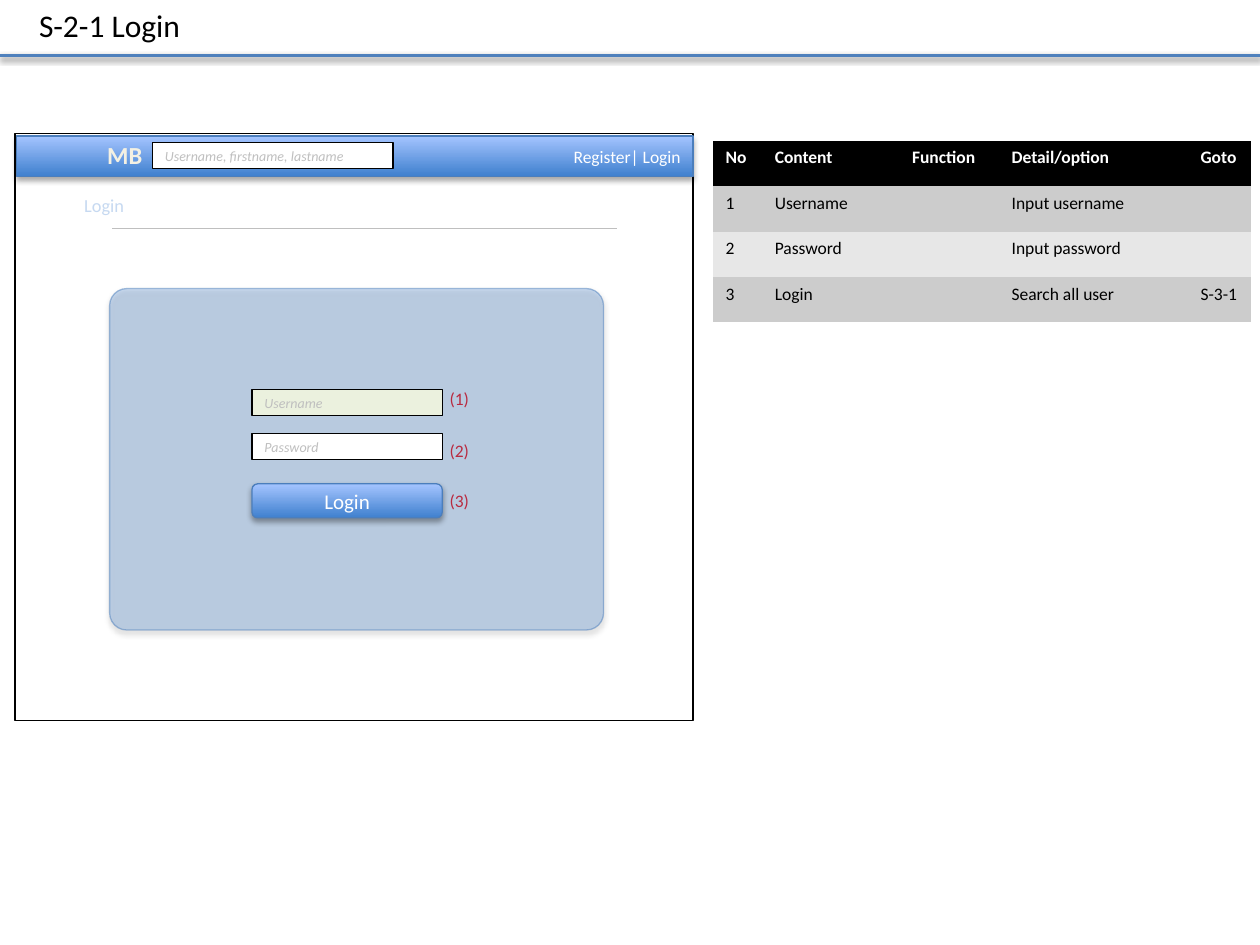
import pptx
import pptx.dml.color
import pptx.enum.shapes
import pptx.enum.text
import pptx.oxml
import pptx.oxml.ns
import pptx.util
import lxml.etree

Inches = pptx.util.Inches
Pt = pptx.util.Pt
SHAPES = pptx.enum.shapes.MSO_SHAPE
ANCHOR = pptx.enum.text.MSO_ANCHOR
ALIGN = pptx.enum.text.PP_ALIGN
qn = pptx.oxml.ns.qn
NAMESPACE = pptx.oxml.ns.nsdecls("a")
GLOSSY = ("3F80CE", "A4C4FF")


def color(value):
    return pptx.dml.color.RGBColor.from_string(value)


def place(left, top, width, height):
    return [Inches(value) for value in (left, top, width, height)]


def write(frame, text, size=10, ink="000000", bold=False, italic=False,
          align=ALIGN.LEFT, anchor=ANCHOR.TOP, wrap=True):
    frame.word_wrap = wrap
    frame.vertical_anchor = anchor
    para = frame.paragraphs[0]
    para.alignment = align
    span = para.add_run()
    span.text = text
    span.font.name = "Calibri"
    span.font.size = Pt(size)
    span.font.bold = bold
    span.font.italic = italic
    span.font.color.rgb = color(ink)
    return span


def set_effects(item, shadow=None):
    properties = item._element.spPr
    for old in properties.findall(qn("a:effectLst")):
        properties.remove(old)
    content = ""
    if shadow:
        opacity, blur, distance = shadow
        content = (
            f'<a:outerShdw blurRad="{Pt(blur)}" dist="{Pt(distance)}" '
            f'dir="5400000" rotWithShape="0"><a:srgbClr val="000000">'
            f'<a:alpha val="{opacity * 1000}"/></a:srgbClr></a:outerShdw>')
    properties.append(pptx.oxml.parse_xml(
        f"<a:effectLst {NAMESPACE}>{content}</a:effectLst>"))


def set_opacity(fill_parent, percent):
    tone = fill_parent.find(qn("a:solidFill")).find(qn("a:srgbClr"))
    lxml.etree.SubElement(tone, qn("a:alpha")).set("val", str(percent * 1000))


def add_box(page, area, fill, line="000000", kind=SHAPES.RECTANGLE, shadow=None):
    box = page.shapes.add_shape(kind, *place(*area))
    if isinstance(fill, tuple):
        box.fill.gradient()
        box.fill.gradient_angle = 90
        for stop, tone in zip(box.fill.gradient_stops, fill):
            stop.color.rgb = color(tone)
    else:
        box.fill.solid()
        box.fill.fore_color.rgb = color(fill)
    box.line.color.rgb = color(line)
    box.line.width = Pt(0.75)
    set_effects(box, shadow)
    return box


def add_glossy(page, area, text, kind=SHAPES.RECTANGLE, **style):
    box = add_box(page, area, GLOSSY, "4B7EBC", kind, (35, 3.1, 1.8))
    write(box.text_frame, text, ink="FFFFFF", anchor=ANCHOR.MIDDLE, **style)


def add_field(page, area, hint, fill="FFFFFF"):
    box = add_box(page, area, fill)
    write(box.text_frame, hint, size=8, ink="BFBFBF", italic=True,
          anchor=ANCHOR.MIDDLE)


def add_label(page, area, text, **style):
    box = page.shapes.add_textbox(*place(*area))
    return write(box.text_frame, text, wrap=False, **style)


def add_rule(page, left, right, top, tone, width, shadow=None):
    rule = page.shapes.add_connector(
        pptx.enum.shapes.MSO_CONNECTOR.STRAIGHT,
        Inches(left), Inches(top), Inches(right), Inches(top))
    rule.line.color.rgb = color(tone)
    rule.line.width = Pt(width)
    set_effects(rule, shadow)


def add_title(page, text):
    title = page.shapes.title
    title.left, title.top, title.width, title.height = place(0.21, 0, 1.33, 0.4)
    title.text_frame.auto_size = pptx.enum.text.MSO_AUTO_SIZE.NONE
    write(title.text_frame, text, size=18, wrap=False)


def add_spec_table(page):
    rows = [
        ("No", "Content", "Function", "Detail/option", "Goto"),
        ("1", "Username", "", "Input username", ""),
        ("2", "Password", "", "Input password", ""),
        ("3", "Login", "", "Search all user", "S-3-1"),
    ]
    fills = ("000000", "CCCCCC", "E7E7E7", "CCCCCC")
    graphic = page.shapes.add_table(4, 5, *place(5.66, 1.12, 4.27, 1.43))
    table = graphic.table
    style = table._tbl.tblPr.find(qn("a:tableStyleId"))
    style.text = "{2D5ABB26-0587-4C30-8999-92F81FD0307C}"
    for column, width in zip(table.columns, (0.39, 1.09, 0.79, 1.5, 0.5)):
        column.width = Inches(width)
    for number, (texts, fill) in enumerate(zip(rows, fills)):
        table.rows[number].height = Inches(0.36)
        for cell, text in zip(table.rows[number].cells, texts):
            cell.fill.solid()
            cell.fill.fore_color.rgb = color(fill)
            if text:
                write(cell.text_frame, text, bold=number == 0,
                      ink="000000" if number else "FFFFFF")
            else:
                para = cell.text_frame.paragraphs[0]
                para._p.get_or_add_endParaRPr().set("sz", "1000")


def add_brand(page):
    span = add_label(page, (0.75, 1.06, 0.48, 0.34), "MB", size=14,
                     ink="F4F1E3", bold=True, align=ALIGN.CENTER)
    span._r.get_or_add_rPr().insert(0, pptx.oxml.parse_xml(
        f'<a:ln {NAMESPACE} w="{Pt(1)}"><a:solidFill>'
        f'<a:srgbClr val="054697"/></a:solidFill></a:ln>'))


def add_panel(page):
    panel = add_box(page, (0.87, 2.29, 3.92, 2.71), "558ED5", "4B7EBC",
                    SHAPES.ROUNDED_RECTANGLE, (35, 3.1, 1.8))
    panel.adjustments[0] = 0.05
    properties = panel._element.spPr
    set_opacity(properties, 30)
    set_opacity(properties.find(qn("a:ln")), 50)


def main():
    deck = pptx.Presentation()
    deck.slide_width, deck.slide_height = Inches(10), Inches(7.5)
    page = deck.slides.add_slide(deck.slide_layouts[5])

    add_rule(page, 0, 10, 0.44, "4F81BD", 2, (38, 3.1, 1.6))
    add_title(page, "S-2-1 Login")
    add_box(page, (0.12, 1.06, 5.38, 4.66), "FFFFFF")
    add_glossy(page, (0.13, 1.08, 5.37, 0.32), "Register| Login",
               align=ALIGN.RIGHT)
    add_rule(page, 0.89, 4.9, 1.81, "BFBFBF", 0.25)
    add_spec_table(page)
    for number, top in enumerate((3.03, 3.44, 3.84), start=1):
        add_label(page, (3.47, top, 0.36, 0.27), f"({number})", ink="FF0000")
    add_brand(page)
    add_field(page, (1.21, 1.13, 1.91, 0.21), "Username, firstname, lastname")
    add_label(page, (0.57, 1.49, 0.52, 0.28), "Login", size=10.5, ink="C6D9F1")
    add_panel(page)
    add_field(page, (2, 3.09, 1.51, 0.21), "Username", "EBF1DE")
    add_field(page, (2, 3.44, 1.51, 0.21), "Password")
    add_glossy(page, (2, 3.84, 1.51, 0.27), "Login", SHAPES.ROUNDED_RECTANGLE,
               size=12, align=ALIGN.CENTER)

    deck.save("out.pptx")


main()
